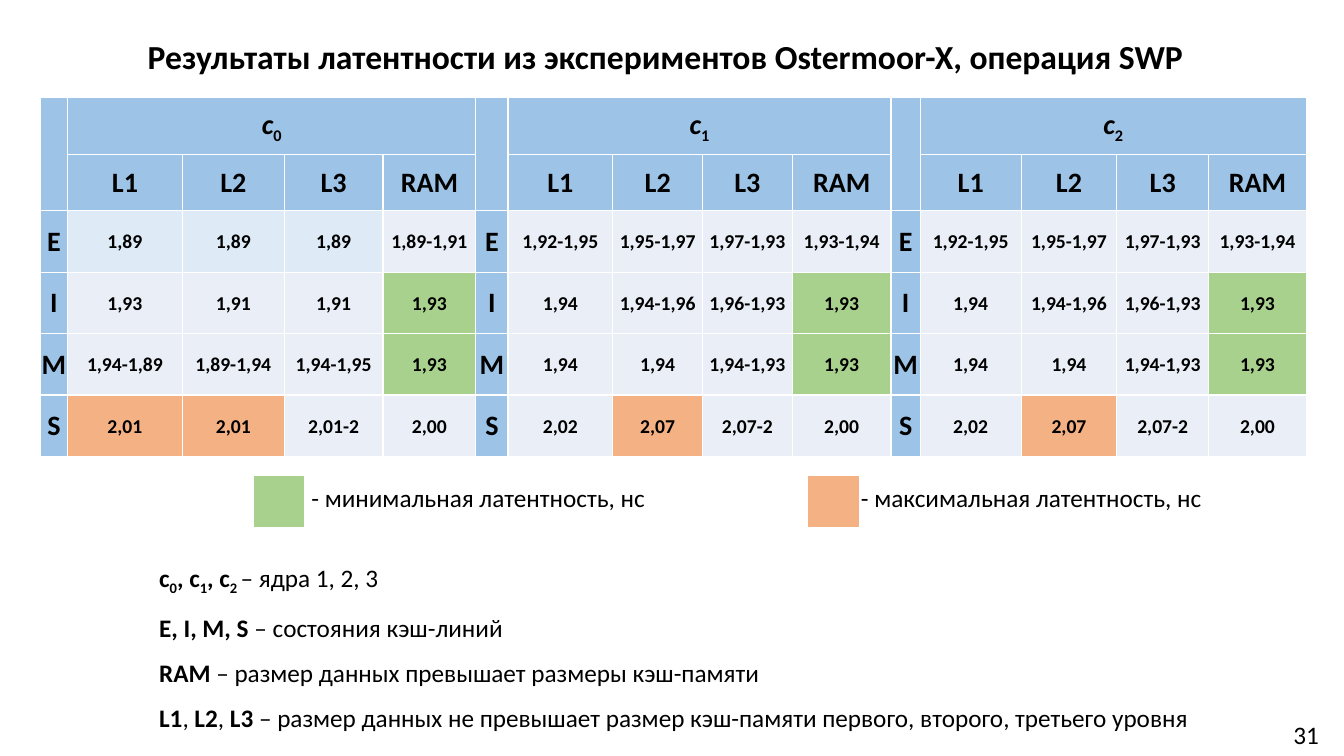
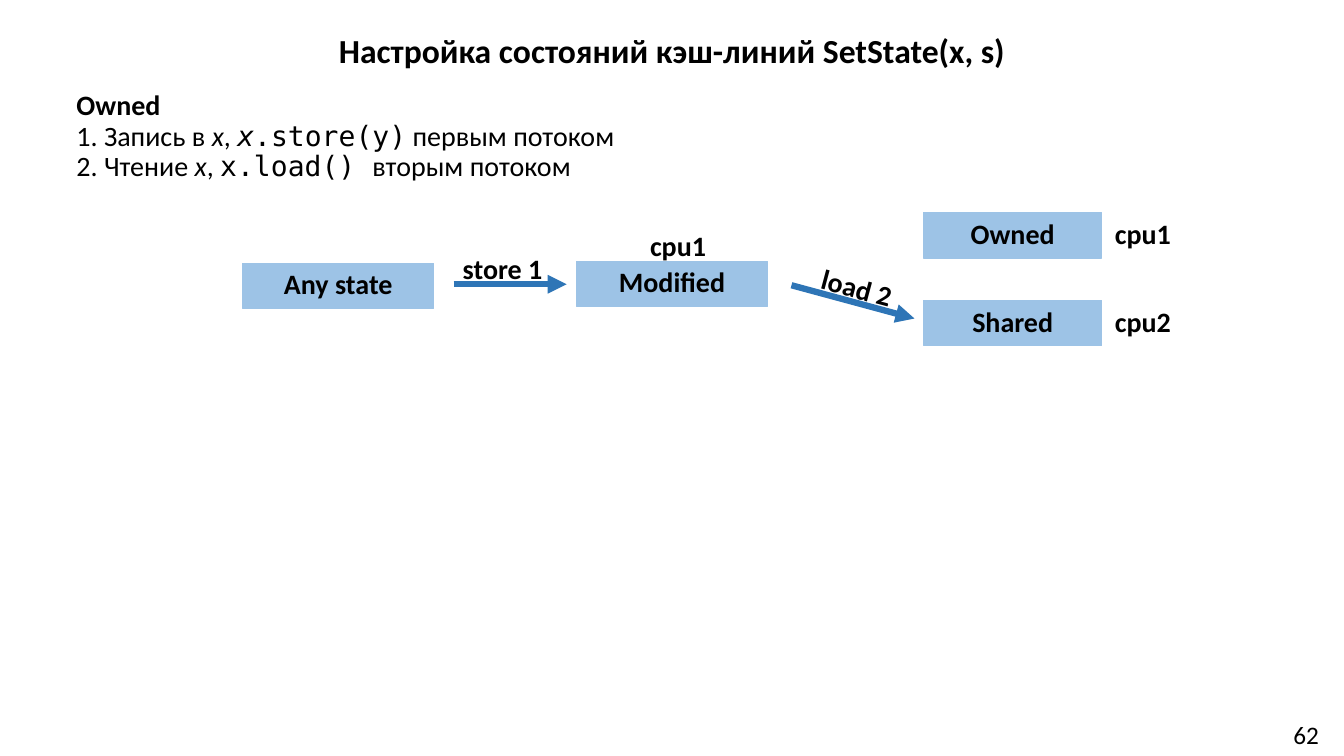
from dataclasses import dataclass

from lxml.etree import SubElement
from pptx import Presentation
from pptx.dml.color import RGBColor
from pptx.enum.shapes import MSO_CONNECTOR, MSO_SHAPE
from pptx.enum.text import MSO_ANCHOR, PP_ALIGN
from pptx.oxml.ns import qn
from pptx.util import Inches, Pt


@dataclass(frozen=True)
class Theme:
    font: str = "Calibri"
    mono: str = "DejaVu Sans Mono"
    ink: str = "000000"
    head: str = "9DC3E6"
    cell: str = "EAEFF7"
    pale: str = "DEEBF7"
    low: str = "A9D18E"
    high: str = "F4B183"
    arrow: str = "2E75B6"
    title: float = 24
    label: float = 20
    body: float = 18
    value: float = 14
    spacing: float = 0.9


T = Theme()

# A leading mark in a table value selects its cell fill.
MARKS = {"<": T.low, ">": T.high, "~": T.pale}
LEVELS = ["L1", "L2", "L3", "RAM"]
STATES = ["E", "I", "M", "S"]
FIRST_CORE = [
    ["~1,89", "~1,89", "~1,89", "1,89-1,91"],
    ["1,93", "1,91", "1,91", "<1,93"],
    ["1,94-1,89", "1,89-1,94", "1,94-1,95", "<1,93"],
    [">2,01", ">2,01", "2,01-2", "2,00"],
]
OTHER_CORE = [
    ["1,92-1,95", "1,95-1,97", "1,97-1,93", "1,93-1,94"],
    ["1,94", "1,94-1,96", "1,96-1,93", "<1,93"],
    ["1,94", "1,94", "1,94-1,93", "<1,93"],
    ["2,02", ">2,07", "2,07-2", "2,00"],
]
CORES = [FIRST_CORE, OTHER_CORE, OTHER_CORE]
COL_WIDTHS = [0.27, 1.14, 1.01, 0.98, 0.92,
              0.32, 1.04, 0.89, 0.89, 0.98,
              0.29, 1, 0.95, 0.91, 0.97]
ROW_HEIGHTS = [0.56] * 2 + [0.61] * 4


def rgb(color):
    return RGBColor.from_string(color)


def fill_paragraph(p, runs, size, bold=False, align=None, spacing=None):
    """Runs are a string or (text, flags): b bold, i italic, s subscript, m mono."""
    runs = [(runs, "")] if isinstance(runs, str) else runs
    p.alignment = align
    p.line_spacing = spacing
    p.font.size = Pt(size)
    p.font.color.rgb = rgb(T.ink)
    if bold:
        p.font.bold = True
    if not any("m" in flags for _, flags in runs):
        p.font.name = T.font
    for text, flags in runs:
        r = p.add_run()
        r.text = text
        if "b" in flags:
            r.font.bold = True
        if "i" in flags:
            r.font.italic = True
        if "s" in flags:
            r.font._element.set("baseline", "-25000")
        if p.font.name is None:
            r.font.name = T.mono if "m" in flags else T.font


def add_text(s, box, paragraphs, size, bold=False, align=None,
             spacing=T.spacing, anchor=MSO_ANCHOR.TOP):
    tb = s.shapes.add_textbox(*map(Inches, box))
    tf = tb.text_frame
    tf.word_wrap = True
    tf.vertical_anchor = anchor
    for i, runs in enumerate(paragraphs):
        p = tf.add_paragraph() if i else tf.paragraphs[0]
        fill_paragraph(p, runs, size, bold, align, spacing)
    return tb


def add_label(s, box, text):
    return add_text(s, box, [text], T.label, True, PP_ALIGN.CENTER,
                    anchor=MSO_ANCHOR.MIDDLE)


def add_block(s, box, color, text=None):
    sp = s.shapes.add_shape(MSO_SHAPE.RECTANGLE, *map(Inches, box))
    sp.shadow.inherit = False
    sp.fill.solid()
    sp.fill.fore_color.rgb = rgb(color)
    sp.line.color.rgb = rgb(color)
    sp.line.width = Pt(0.75)
    if text:
        tf = sp.text_frame
        tf.vertical_anchor = MSO_ANCHOR.MIDDLE
        fill_paragraph(tf.paragraphs[0], text, T.label, True,
                       PP_ALIGN.CENTER, T.spacing)


def add_arrow(s, x1, y1, x2, y2):
    line = s.shapes.add_connector(MSO_CONNECTOR.STRAIGHT,
                                  *map(Inches, (x1, y1, x2, y2)))
    line.line.color.rgb = rgb(T.arrow)
    line.line.width = Pt(4.5)
    SubElement(line.line._get_or_add_ln(), qn("a:tailEnd"), type="triangle")
    SubElement(line._element.spPr, qn("a:effectLst"))


def new_slide(prs, title, title_box, number):
    s = prs.slides.add_slide(prs.slide_layouts[6])
    add_text(s, title_box, [title], T.title, True, PP_ALIGN.CENTER)
    add_text(s, (12.58, 7.07, 0.75, 0.43), [number], T.body,
             align=PP_ALIGN.CENTER, spacing=None, anchor=MSO_ANCHOR.MIDDLE)
    return s


def set_cell(cell, color, runs=None, size=T.label):
    cell.fill.solid()
    cell.fill.fore_color.rgb = rgb(color)
    cell.vertical_anchor = MSO_ANCHOR.MIDDLE
    cell.margin_left = cell.margin_right = cell.margin_top = Inches(0.01)
    cell.margin_bottom = 0
    if runs:
        fill_paragraph(cell.text_frame.paragraphs[0], runs, size, True,
                       PP_ALIGN.CENTER)


def add_latency_table(s, left, top):
    frame = s.shapes.add_table(
        len(ROW_HEIGHTS), len(COL_WIDTHS), Inches(left), Inches(top),
        Inches(sum(COL_WIDTHS)), Inches(sum(ROW_HEIGHTS)))
    table = frame.table
    table.first_row = table.horz_banding = False
    for column, width in zip(table.columns, COL_WIDTHS):
        column.width = Inches(width)
    for row, height in zip(table.rows, ROW_HEIGHTS):
        row.height = Inches(height)
    for core, values in enumerate(CORES):
        add_core(table, core, values)


def add_core(table, core, values):
    """Fill the state column and the four level columns of one core."""
    first = core * (len(LEVELS) + 1)
    last = first + len(LEVELS)
    table.cell(0, first).merge(table.cell(1, first))
    table.cell(0, first + 1).merge(table.cell(0, last))
    set_cell(table.cell(0, first), T.head)
    set_cell(table.cell(0, first + 1), T.head, [("c", "i"), (str(core), "s")])
    for col, level in enumerate(LEVELS, first + 1):
        set_cell(table.cell(1, col), T.head, level)
    for row, (state, line) in enumerate(zip(STATES, values), 2):
        set_cell(table.cell(row, first), T.head, state)
        for col, value in enumerate(line, first + 1):
            set_cell(table.cell(row, col), MARKS.get(value[0], T.cell),
                     value.lstrip("<>~"), T.value)


def add_legend_entry(s, left, top, color, text, gap):
    side = 0.49
    add_block(s, (left, top, side, side), color)
    add_text(s, (left + side + gap - 0.1, top + 0.04, 4, 0.41), [text], T.body)


def latency_slide(prs):
    s = new_slide(prs, "Результаты латентности из экспериментов Ostermoor-X, операция SWP",
                  (0, 0.35, 13.2, 0.67), "31")
    add_latency_table(s, 0.4, 0.97)
    add_legend_entry(s, 2.52, 4.73, T.low, "- минимальная латентность, нс", 0.08)
    add_legend_entry(s, 8.02, 4.73, T.high, "- максимальная латентность, нс", 0.03)
    add_text(s, (1.48, 5.36, 11.1, 1.93), [
        [("c", "b"), ("0", "bs"), (", c", "b"), ("1", "bs"), (", c", "b"),
         ("2 ", "bs"), ("– ядра 1, 2, 3", "")],
        [("E, I, M, S ", "b"), ("– состояния кэш-линий", "")],
        [("RAM", "b"), (" – размер данных превышает размеры кэш-памяти", "")],
        [("L1", "b"), (",", ""), (" L2", "b"), (", ", ""), ("L3", "b"),
         (" – размер данных не превышает размер кэш-памяти первого, "
          "второго, третьего уровня", "")],
    ], T.body, spacing=1.5)


def add_state_flow(s, left, top):
    def at(x, y, w, h):
        return left + x, top + y, w, h

    add_arrow(s, left + 2.09, top + 0.71, left + 3.21, top + 0.71)
    add_label(s, at(1.96, 0.36, 1.23, 0.43), "store 1")
    add_arrow(s, left + 5.44, top + 0.72, left + 6.66, top + 1.05)
    add_label(s, at(5.37, 0.57, 1.43, 0.38), "load 2").rotation = 15

    add_block(s, at(0, 0.5, 1.89, 0.45), T.head, "Any state")
    add_block(s, at(3.31, 0.48, 1.89, 0.45), T.head, "Modified")
    add_label(s, at(3.43, 0.12, 1.77, 0.45), "cpu1")
    for y, state, cpu in [(0, "Owned", "cpu1"), (0.87, "Shared", "cpu2")]:
        add_block(s, at(6.75, y, 1.77, 0.45), T.head, state)
        add_label(s, at(8.35, y, 1.15, 0.45), cpu)


def state_slide(prs):
    s = new_slide(prs, "Настройка состояний кэш-линий SetState(x, s)",
                  (0, 0.29, 13.33, 0.5), "62")
    add_state_flow(s, 2.41, 2.11)
    add_text(s, (0.66, 0.86, 7.18, 1.17), [
        [("Owned", "b")],
        [("1. Запись в ", ""), ("x", "i"), (", ", ""), ("x", "im"),
         (".store(y)", "m"), (" первым потоком", "")],
        [("2. Чтение ", ""), ("x", "i"), (", ", ""), ("x.load() ", "m"),
         ("вторым потоком", "")],
    ], T.label)


def main():
    prs = Presentation()
    prs.slide_width = Inches(13.33)
    prs.slide_height = Inches(7.5)
    latency_slide(prs)
    state_slide(prs)
    prs.save("out.pptx")


if __name__ == "__main__":
    main()
